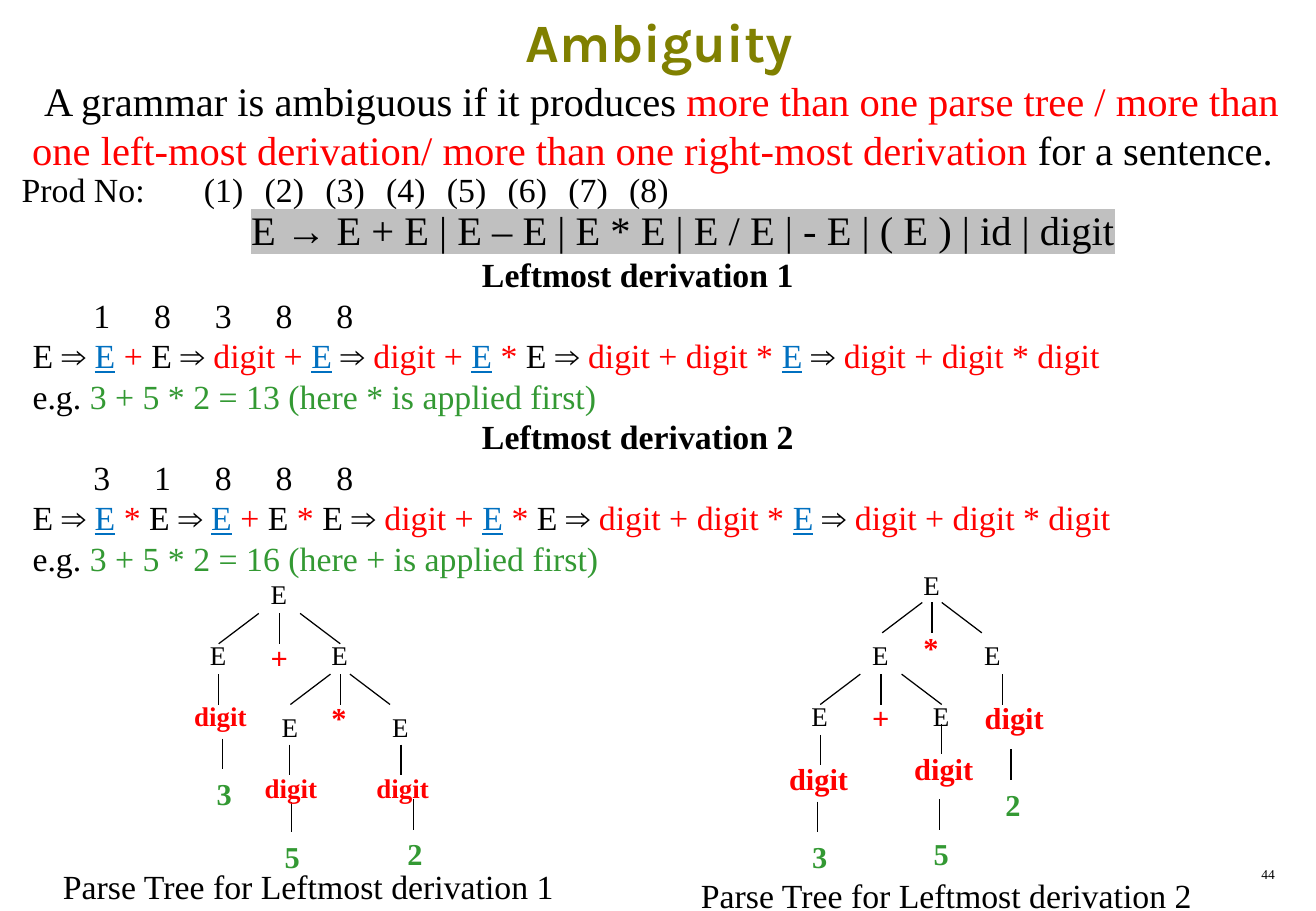
from dataclasses import dataclass, field

from lxml.etree import SubElement as sub_element
from pptx import Presentation
from pptx.dml.color import RGBColor as Rgb
from pptx.enum.shapes import MSO_CONNECTOR as Connector
from pptx.enum.text import MSO_ANCHOR as Anchor, MSO_AUTO_SIZE as AutoSize, PP_ALIGN as Align
from pptx.oxml.ns import qn
from pptx.util import Inches, Pt

COLORS = {"black": "000000", "red": "FF0000", "blue": "0070C0",
          "green": "339933", "olive": "808000", "gray": "C0C0C0"}
SERIF = "Times New Roman"
BRANCH_HEIGHT, BRANCH_RUN = 0.25, 0.33


@dataclass
class Span:
    text: str
    color: str = "black"
    format: dict = field(default_factory=dict)
    highlight: str = ""


@dataclass
class Line:
    spans: list[Span]
    size: float = 20
    format: dict = field(default_factory=dict)
    tabs: tuple[float, ...] = ()
    margin: float = 0
    indent: float = 0


@dataclass
class Kind:
    color: str
    size: float
    width: float
    height: float
    bold: bool = True


@dataclass
class Node:
    text: str
    kind: str
    center: float
    top: float


@dataclass
class Fork:
    center: float
    top: float
    gap: float


@dataclass
class Tree:
    nodes: list[Node]
    forks: list[Fork]
    stems: list[tuple[float, float]]


@dataclass
class Block:
    left: float
    top: float
    width: float
    height: float
    lines: list[Line]


KINDS = {
    "symbol": Kind("black", 16, 0.34, 0.37, False),
    "operator": Kind("red", 18, 0.34, 0.4),
    "small digit": Kind("red", 16, 0.64, 0.37),
    "digit": Kind("red", 18, 0.69, 0.4),
    "value": Kind("green", 18, 0.33, 0.4),
}

TREES = [
    Tree([Node("E", "symbol", 2.3, 4.71), Node("E", "symbol", 1.8, 5.21),
          Node("+", "operator", 2.3, 5.21), Node("E", "symbol", 2.8, 5.21),
          Node("E", "symbol", 2.39, 5.8), Node("*", "operator", 2.8, 5.71),
          Node("E", "symbol", 3.3, 5.8), Node("digit", "small digit", 1.82, 5.71),
          Node("digit", "small digit", 2.4, 6.3), Node("digit", "small digit", 3.32, 6.3),
          Node("3", "value", 1.85, 6.33), Node("5", "value", 2.41, 6.85),
          Node("2", "value", 3.42, 6.83)],
         [Fork(2.3, 5.05, 0.17), Fork(2.8, 5.55, 0.08)],
         [(1.8, 5.55), (2.38, 6.13), (3.3, 6.13), (1.83, 6.08), (2.4, 6.6), (3.4, 6.58)]),
    Tree([Node("E", "symbol", 7.67, 4.63), Node("E", "symbol", 7.25, 5.21),
          Node("*", "operator", 7.67, 5.13), Node("E", "symbol", 8.17, 5.21),
          Node("E", "symbol", 6.75, 5.71), Node("+", "operator", 7.25, 5.71),
          Node("E", "symbol", 7.75, 5.71), Node("digit", "digit", 6.74, 6.21),
          Node("digit", "digit", 7.77, 6.13), Node("digit", "digit", 8.35, 5.71),
          Node("3", "value", 6.75, 6.85), Node("5", "value", 7.75, 6.83),
          Node("2", "value", 8.34, 6.42)],
         [Fork(7.67, 4.96, 0.08), Fork(7.25, 5.55, 0.17)],
         [(6.75, 6.05), (7.75, 5.96), (8.25, 5.55), (6.73, 6.6), (7.73, 6.58), (8.32, 6.17)]),
]


def derivation(number: int, rules: str, first_tab: float, steps: list[Span], example: str) -> list[Line]:
    """Return the heading, rule numbers, steps and example of one derivation."""
    return [
        Line([Span(f"Leftmost derivation {number}", format={"bold": True})],
             format={"alignment": Align.CENTER}),
        Line([Span("\t" + rules)], tabs=(first_tab, 1.27, 2.73, 4.54, 6.75)),
        Line(steps),
        Line([Span("e.g. "), Span(example, "green")]),
    ]


EXPANDED = Span("E", "blue", {"underline": True})
ARROW, SPACE, PLAIN = Span(" ⇒ "), Span(" "), Span(" E ⇒ ")
START, PLUS, TIMES = Span("E ⇒ "), Span("+", "red"), Span("*", "red")
ONE_DIGIT, TWO_DIGITS = Span("digit + ", "red"), Span("digit + digit * ", "red")
ENDING = [PLAIN, TWO_DIGITS, EXPANDED, ARROW, Span("digit + digit * digit", "red")]

FIRST_STEPS = [START, EXPANDED, SPACE, PLUS, PLAIN, ONE_DIGIT, EXPANDED, ARROW,
               ONE_DIGIT, EXPANDED, SPACE, TIMES, *ENDING]
SECOND_STEPS = [START, EXPANDED, SPACE, TIMES, PLAIN, EXPANDED, SPACE, PLUS, Span(" E "), TIMES,
                PLAIN, ONE_DIGIT, EXPANDED, SPACE, TIMES, *ENDING]

BLOCKS = [
    Block(8.33, 7.08, 2.26, 0.25, [Line([Span("44")], 8, {"alignment": Align.RIGHT})]),
    Block(0.08, 0.58, 10.58, 1.98, [
        Line([Span("A grammar is ambiguous if it produces "),
              Span("more than one parse tree / more than one left-most derivation/ "
                   "more than one right-most derivation ", "red"),
              Span("for a sentence.")], 24, {"alignment": Align.CENTER}, indent=0.15),
        Line([Span("Prod No:\t" + "\t".join(f"({rule})" for rule in range(1, 9)))],
             format={"line_spacing": 0.9}, tabs=(2.82, 3.84, 4.78, 5.73, 6.47, 7.15, 7.89, 8.56)),
        Line([Span("E → E + E | E – E | E * E | E / E | - E | ( E ) | id | digit", highlight="gray")],
             24, {"alignment": Align.CENTER, "line_spacing": 0.9}, margin=0.5),
    ]),
    Block(0.17, 2.04, 10.16, 2.79,
          derivation(1, "1\t8\t3\t8\t8", 0.27, FIRST_STEPS, "3 + 5 * 2 = 13 (here * is applied first)")
          + derivation(2, "3\t1\t8\t8\t8", 0.2, SECOND_STEPS, "3 + 5 * 2 = 16 (here + is applied first)")),
    Block(0.42, 7.08, 4.33, 0.44, [Line([Span("Parse Tree for Leftmost derivation 1")])]),
    Block(5.67, 7.15, 4.33, 0.44, [Line([Span("Parse Tree for Leftmost derivation 2")])]),
]


def write_line(para, line: Line, font: str = SERIF) -> None:
    """Fill a paragraph with the formatted spans of a line."""
    for name, value in line.format.items():
        setattr(para, name, value)
    properties = para._p.get_or_add_pPr()
    properties.set("marL", str(Inches(line.margin)))
    properties.set("indent", str(Inches(line.indent)))
    if line.tabs:
        tab_list = sub_element(properties, qn("a:tabLst"))
        for position in line.tabs:
            sub_element(tab_list, qn("a:tab"), pos=str(Inches(position)), algn="l")
    for item in line.spans:
        span = para.add_run()
        span.text = item.text
        for name, value in {"name": font, "size": Pt(line.size), **item.format}.items():
            setattr(span.font, name, value)
        span.font.color.rgb = Rgb.from_string(COLORS[item.color])
        if item.highlight:
            marker = sub_element(span._r.rPr, qn("a:highlight"))
            sub_element(marker, qn("a:srgbClr"), val=COLORS[item.highlight])
            span._r.rPr.find(qn("a:solidFill")).addnext(marker)


def add_block(shapes, block: Block, wrap: bool = True) -> None:
    """Add a text box holding the lines of a block."""
    box = shapes.add_textbox(*map(Inches, (block.left, block.top, block.width, block.height)))
    frame = box.text_frame
    for name, value in {"word_wrap": wrap, "auto_size": AutoSize.SHAPE_TO_FIT_TEXT}.items():
        setattr(frame, name, value)
    for index, line in enumerate(block.lines):
        write_line(frame.add_paragraph() if index else frame.paragraphs[0], line)


def add_branch(shapes, left: float, top: float, run: float = 0) -> None:
    """Add one branch going down by the branch height."""
    branch = shapes.add_connector(Connector.STRAIGHT, *map(
        Inches, (left, top, left + run, top + BRANCH_HEIGHT)))
    branch.line.color.rgb = Rgb.from_string(COLORS["black"])
    branch.line.width = Pt(0.75)
    sub_element(branch._element.spPr, qn("a:effectLst"))


def add_tree(shapes, tree: Tree) -> None:
    """Add the grouped branches and nodes of a parse tree."""
    parts = shapes.add_group_shape().shapes
    for fork in tree.forks:
        for side in (-1, 0, 1):
            add_branch(parts, fork.center + side * fork.gap, fork.top, side * BRANCH_RUN)
    for left, top in tree.stems:
        add_branch(parts, left, top)
    for node in tree.nodes:
        kind = KINDS[node.kind]
        line = Line([Span(node.text, kind.color, {"bold": kind.bold})], kind.size)
        add_block(parts, Block(node.center - kind.width / 2, node.top, kind.width, kind.height, [line]), False)


def add_title(page) -> None:
    """Place and format the title placeholder."""
    title = page.shapes.title
    bounds = {"left": 0.3, "top": 0.01, "width": 10.25, "height": 0.66}
    for name, value in bounds.items():
        setattr(title, name, Inches(value))
    title.text_frame.vertical_anchor = Anchor.MIDDLE
    write_line(title.text_frame.paragraphs[0],
               Line([Span("Ambiguity", "olive", {"bold": True})], 32, {"alignment": Align.CENTER}), "Karla")


def main() -> None:
    """Build the ambiguity slide and save it."""
    deck = Presentation()
    deck.slide_width, deck.slide_height = Inches(10.83), Inches(7.5)
    page = deck.slides.add_slide(deck.slide_layouts[5])
    add_title(page)
    for block in BLOCKS:
        add_block(page.shapes, block)
    for tree in TREES:
        add_tree(page.shapes, tree)
    deck.save("out.pptx")


if __name__ == "__main__":
    main()
